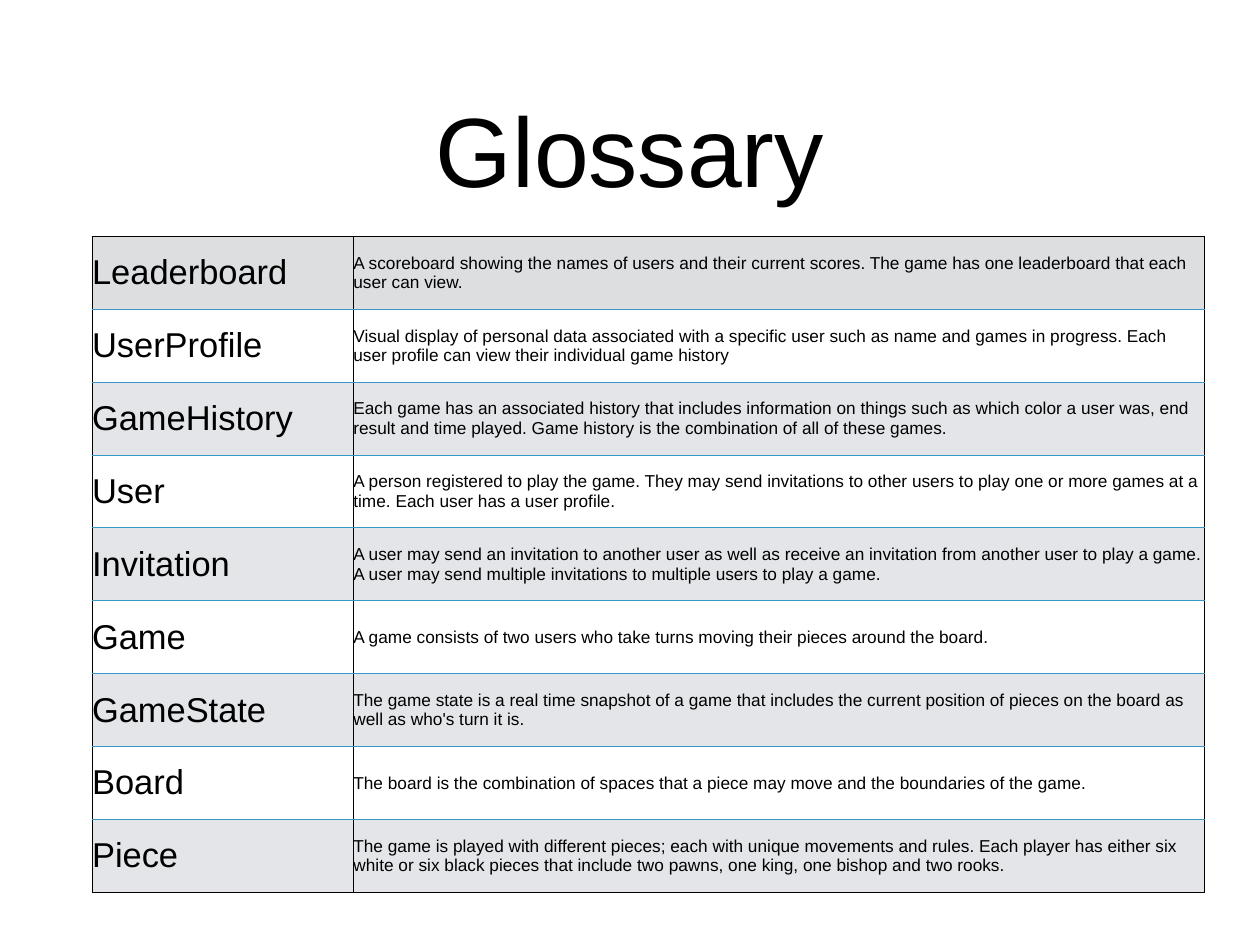
import lxml.etree
import pptx
import pptx.dml.color
import pptx.enum.text
import pptx.oxml.ns
import pptx.util

Cm = pptx.util.Cm
Pt = pptx.util.Pt

HEADING = "Glossary"
GLOSSARY = [
    ("Leaderboard", "A scoreboard showing the names of users and their current scores. "
     "The game has one leaderboard that each user can view."),
    ("UserProfile", "Visual display of personal data associated with a specific user such as name "
     "and games in progress. Each user profile can view their individual game history"),
    ("GameHistory", "Each game has an associated history that includes information on things such as "
     "which color a user was, end result and time played. "
     "Game history is the combination of all of these games."),
    ("User", "A person registered to play the game. They may send invitations to other users "
     "to play one or more games at a time. Each user has a user profile."),
    ("Invitation", "A user may send an invitation to another user as well as receive an invitation "
     "from another user to play a game. "
     "A user may send multiple invitations to multiple users to play a game."),
    ("Game", "A game consists of two users who take turns moving their pieces around the board."),
    ("GameState", "The game state is a real time snapshot of a game that includes the current "
     "position of pieces on the board as well as who's turn it is."),
    ("Board", "The board is the combination of spaces that a piece may move "
     "and the boundaries of the game."),
    ("Piece", "The game is played with different pieces; each with unique movements and rules. "
     "Each player has either six white or six black pieces that include two pawns, one king, "
     "one bishop and two rooks."),
]

THEME = {
    "font": "Arial",
    "text": "000000",
    "frame": "000000",
    "rule": "3797C6",
    "first_row": "DCDEE0",
    "bands": ("E3E5E8", "FFFFFF"),
    "heading_size": 80,
    "column_sizes": (28, 14),
    "border_width": 1,
}

SLIDE_SIZE = Cm(36.12), Cm(27.1)
HEADING_BOX = Cm(2.64), Cm(1.24), Cm(30.84), Cm(5.99)
HEADING_INSET = Cm(0.15)
TABLE_LEFT, TABLE_TOP = Cm(2.64), Cm(6.78)
COLUMN_WIDTHS = Cm(7.49), Cm(24.41)
ROW_HEIGHT = Cm(2.09)


def color(name):
    return pptx.dml.color.RGBColor.from_string(name)


def write(frame, text, size, inset):
    frame.word_wrap = True
    frame.margin_left = frame.margin_right = inset
    frame.margin_top = frame.margin_bottom = inset
    frame.vertical_anchor = pptx.enum.text.MSO_ANCHOR.MIDDLE
    return style(frame.paragraphs[0], text, size)


def style(paragraph, text, size):
    paragraph.text = text
    paragraph.font.name = THEME["font"]
    paragraph.font.size = Pt(size)
    paragraph.font.color.rgb = color(THEME["text"])
    return paragraph


def add_borders(cell, top, bottom):
    """Draw all four edges; the sides always take the frame colour."""
    qn = pptx.oxml.ns.qn
    properties = cell._tc.get_or_add_tcPr()
    edges = {"lnL": THEME["frame"], "lnR": THEME["frame"], "lnT": top, "lnB": bottom}
    for position, (edge, edge_color) in enumerate(edges.items()):
        line = lxml.etree.Element(qn(f"a:{edge}"), w=str(Pt(THEME["border_width"])))
        fill = lxml.etree.SubElement(line, qn("a:solidFill"))
        lxml.etree.SubElement(fill, qn("a:srgbClr"), val=edge_color)
        properties.insert(position, line)


def add_heading(slide):
    box = slide.shapes.add_textbox(*HEADING_BOX)
    heading = write(box.text_frame, HEADING, THEME["heading_size"], HEADING_INSET)
    heading.alignment = pptx.enum.text.PP_ALIGN.CENTER


def add_glossary(slide):
    table = slide.shapes.add_table(
        len(GLOSSARY), len(COLUMN_WIDTHS), TABLE_LEFT, TABLE_TOP,
        sum(COLUMN_WIDTHS), ROW_HEIGHT * len(GLOSSARY)).table
    table.first_row = table.horz_banding = False
    for column, width in zip(table.columns, COLUMN_WIDTHS):
        column.width = width

    last = len(GLOSSARY) - 1
    for index, entry in enumerate(GLOSSARY):
        table.rows[index].height = ROW_HEIGHT
        background = THEME["bands"][index % 2] if index else THEME["first_row"]
        top = THEME["rule"] if index else THEME["frame"]
        bottom = THEME["rule"] if index < last else THEME["frame"]
        for cell, text, size in zip(table.rows[index].cells, entry, THEME["column_sizes"]):
            cell.margin_left = cell.margin_right = 0
            cell.margin_top = cell.margin_bottom = 0
            cell.vertical_anchor = pptx.enum.text.MSO_ANCHOR.MIDDLE
            cell.fill.solid()
            cell.fill.fore_color.rgb = color(background)
            style(cell.text_frame.paragraphs[0], text, size)
            add_borders(cell, top, bottom)


def main():
    deck = pptx.Presentation()
    deck.slide_width, deck.slide_height = SLIDE_SIZE
    slide = deck.slides.add_slide(deck.slide_layouts[6])
    add_heading(slide)
    add_glossary(slide)
    deck.save("out.pptx")


if __name__ == "__main__":
    main()
